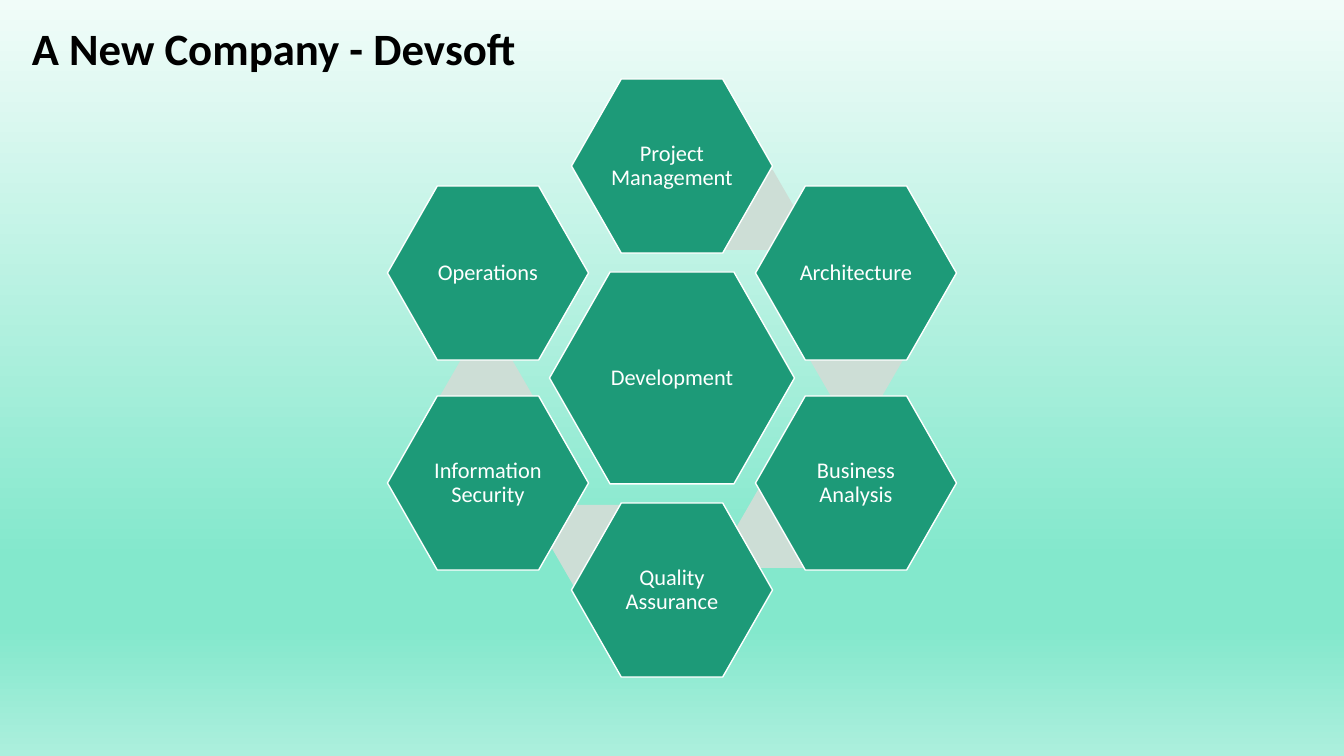
from lxml import etree
from pptx import Presentation
from pptx import util as u
from pptx.dml.color import RGBColor
from pptx.enum import shapes, text
from pptx.oxml.ns import qn

PX = 9144000 / 1008  # EMU per px


def px(length):
    return u.Emu(round(length * PX))


def rgb(hex_color):
    return RGBColor.from_string(hex_color)


presentation = Presentation()
presentation.slide_width = px(1344)
presentation.slide_height = px(756)
slide = presentation.slides.add_slide(presentation.slide_layouts[6])

# Background gradient, top to bottom
background = slide.background.fill
background.gradient()
background.gradient_angle = 270
stops = next(slide.element.iter(qn("a:gsLst")))
for stop in list(stops):
    stops.remove(stop)
for percent, color in [(0, "F1FCF9"), (74, "83E8CC"), (83, "83E8CC"), (100, "ACEFDD")]:
    stop = etree.SubElement(stops, qn("a:gs"), pos=str(percent * 1000))
    etree.SubElement(stop, qn("a:srgbClr"), val=color)

# Title
title = slide.shapes.add_textbox(px(22), px(0), px(1229), px(80))
frame = title.text_frame
frame.word_wrap = True
frame.vertical_anchor = text.MSO_ANCHOR.BOTTOM
frame.text = "A New Company - Devsoft"
paragraph = frame.paragraphs[0]
paragraph.line_spacing = 0.9
font = paragraph.runs[0].font
font.name, font.size, font.bold = "Calibri", u.Pt(32), True
font.color.rgb = rgb("000000")

# Pale links between neighbouring hexagons
for left, top in [(703, 170), (810, 320), (736, 488), (550, 505), (440, 356)]:
    link = slide.shapes.add_shape(
        shapes.MSO_SHAPE.HEXAGON, px(left), px(top), px(93), px(80))
    link.adjustments[0] = 0.289
    link.shadow.inherit = False
    link.fill.solid()
    link.fill.fore_color.rgb = rgb("CDDED6")
    link.line.fill.background()

# Team hexagons: offset of each centre from the slide's centre, then size
CENTER_X, CENTER_Y = 672, 378
CORE, OUTER = (245, 212), (201, 174)
teams = [
    ("Development", 0, 0, CORE),
    ("Project Management", 0, -212, OUTER),
    ("Architecture", 184, -105, OUTER),
    ("Business Analysis", 184, 105, OUTER),
    ("Quality Assurance", 0, 212, OUTER),
    ("Information Security", -184, 105, OUTER),
    ("Operations", -184, -105, OUTER),
]
for name, dx, dy, (width, height) in teams:
    hexagon = slide.shapes.add_shape(
        shapes.MSO_SHAPE.HEXAGON,
        px(CENTER_X + dx - width / 2), px(CENTER_Y + dy - height / 2),
        px(width), px(height))
    hexagon.adjustments[0] = 0.286
    hexagon.shadow.inherit = False
    hexagon.fill.solid()
    hexagon.fill.fore_color.rgb = rgb("1D9A78")
    hexagon.line.color.rgb = rgb("FFFFFF")
    hexagon.line.width = u.Pt(1)

    frame = hexagon.text_frame
    frame.word_wrap = True
    frame.vertical_anchor = text.MSO_ANCHOR.MIDDLE
    frame.margin_left = frame.margin_right = px(2)
    frame.margin_top = frame.margin_bottom = px(2)
    frame.text = name
    paragraph = frame.paragraphs[0]
    paragraph.alignment = text.PP_ALIGN.CENTER
    paragraph.line_spacing = 0.9
    font = paragraph.runs[0].font
    font.name, font.size = "Calibri", u.Pt(16)
    font.color.rgb = rgb("FFFFFF")

presentation.save("out.pptx")
